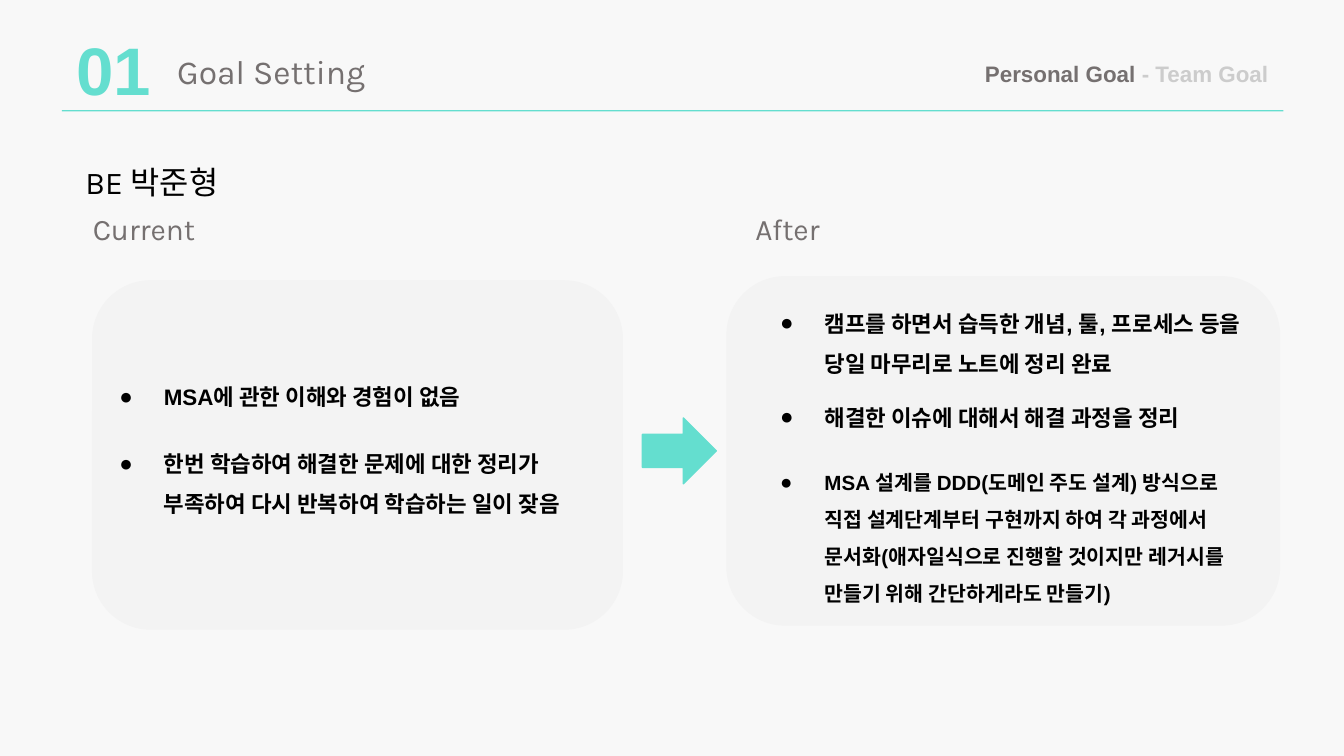
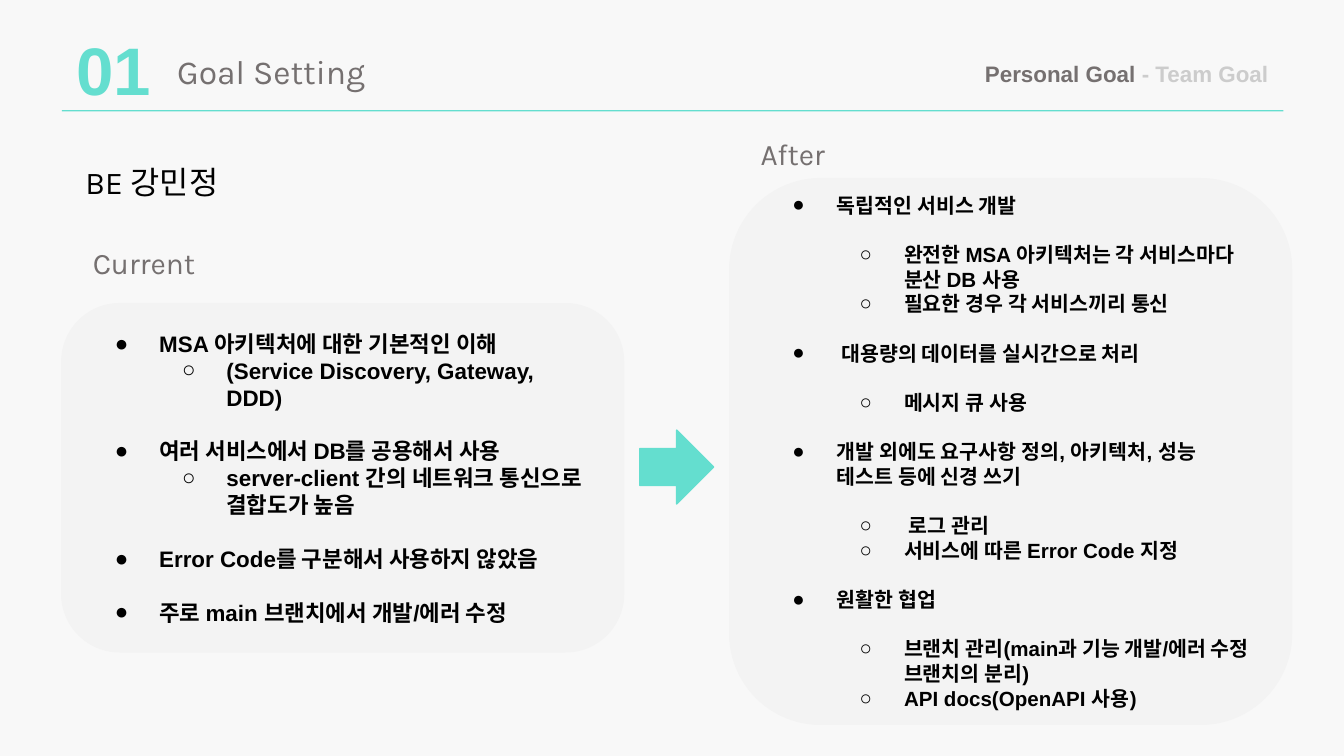
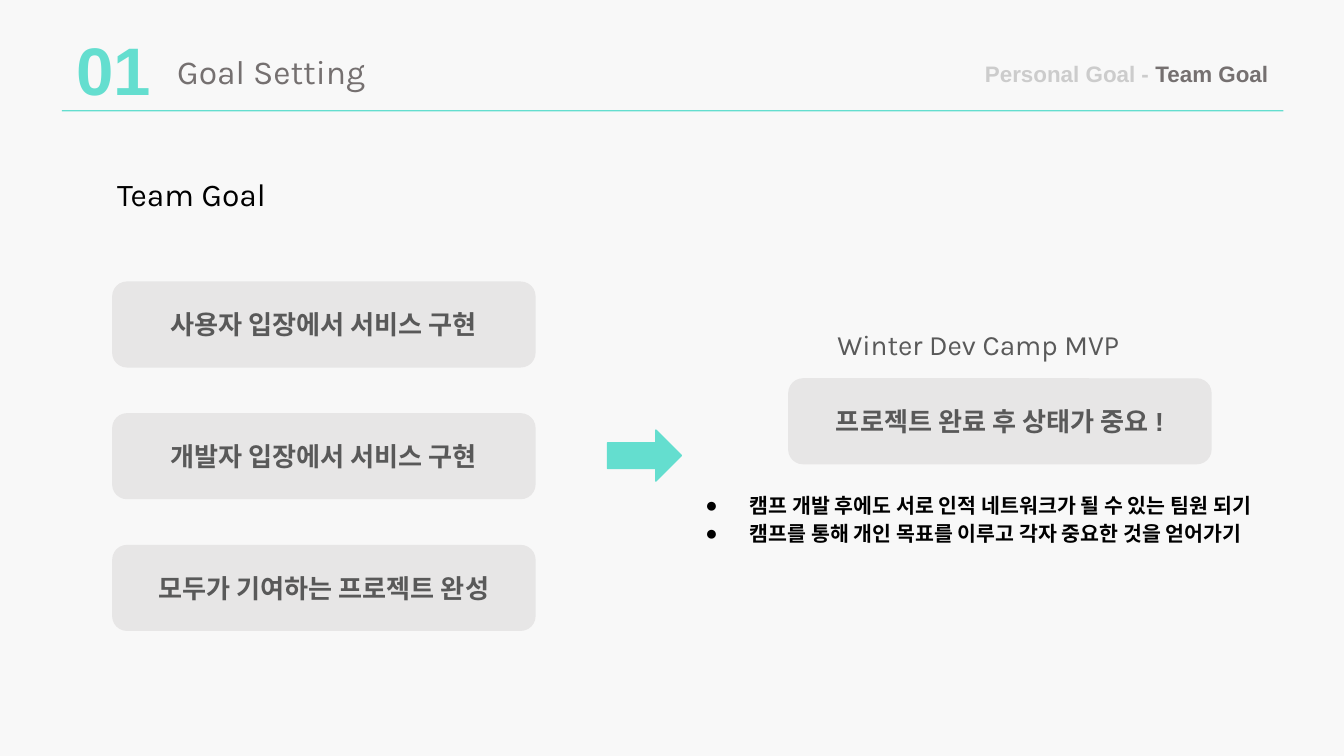
from dataclasses import dataclass

from lxml import etree
from pptx import Presentation, util as u
from pptx.dml import color
from pptx.enum import shapes, text
from pptx.oxml import ns

PX = 9144  # EMU per px, 100 px to the inch

BACKGROUND, ACCENT = "F8F8F8", "64DECF"
CARD, GOAL = "F3F3F3", "E7E6E6"
BLACK, DARK, GREY, PALE = "000000", "595959", "757070", "CCCCCC"
HEADING, BODY = "Karla", "Arial"
WIDE, TIGHT = (10, 10), (7, 4)  # horizontal and vertical insets


def rgb(value):
    return color.RGBColor.from_string(value)


@dataclass
class Item:
    """A bullet; gap is the free line above it, as a font size."""
    words: str
    level: int = 0
    gap: int = 0
    size: int = 12
    spacing: float = 1.0


class Deck:
    def __init__(self):
        self.prs = Presentation()
        self.prs.slide_width = 1000 * PX
        self.prs.slide_height = self.prs.slide_width * 9 // 16
        self.slide = None

    def new_slide(self, personal, team):
        self.slide = self.prs.slides.add_slide(self.prs.slide_layouts[6])
        fill = self.slide.background.fill
        fill.solid()
        fill.fore_color.rgb = rgb(BACKGROUND)
        # Header shared by all slides
        self.shape("RECTANGLE", (46, 82, 909, 1), ACCENT, outlined=False)
        self.label("01", (50, 17, 72, 68), 36, ACCENT, BODY, bold=True)
        self.label("Goal Setting", (122, 28, 328, 50), 18, GREY, inset=WIDE)
        frame = self.frame((723, 35, 265, 40))
        crumbs = frame.paragraphs[0]
        self.font(crumbs, 12, None, BODY, bold=True)
        for words, shade in (personal, team):
            crumb = crumbs.add_run()
            crumb.text = words
            crumb.font.color.rgb = rgb(shade)

    def font(self, paragraph, size, shade, face, bold=False):
        font = paragraph.font
        font.size, font.name, font.bold = u.Pt(size), face, bold
        if shade:
            font.color.rgb = rgb(shade)

    def prepare(self, frame, inset=WIDE):
        frame.word_wrap = True
        frame.margin_left = frame.margin_right = inset[0] * PX
        frame.margin_top = frame.margin_bottom = inset[1] * PX
        return frame

    def frame(self, box, inset=WIDE):
        textbox = self.slide.shapes.add_textbox(*(v * PX for v in box))
        frame = self.prepare(textbox.text_frame, inset)
        frame.auto_size = text.MSO_AUTO_SIZE.SHAPE_TO_FIT_TEXT
        return frame

    def label(self, words, box, size, shade, face=HEADING, bold=False,
              inset=TIGHT, centred=False, spacing=None):
        paragraph = self.frame(box, inset).paragraphs[0]
        paragraph.text = words
        if centred:
            paragraph.alignment = text.PP_ALIGN.CENTER
        if spacing:
            paragraph.line_spacing = spacing
        self.font(paragraph, size, shade, face, bold)

    def name(self, words, box):
        self.label(words, box, 17, BLACK, inset=WIDE, centred=True, spacing=1.15)

    def shape(self, kind, box, shade, outlined=True):
        shape = self.slide.shapes.add_shape(
            shapes.MSO_SHAPE[kind], *(v * PX for v in box))
        shape.shadow.inherit = False
        shape.fill.solid()
        shape.fill.fore_color.rgb = rgb(shade)
        if outlined:
            shape.line.color.rgb = rgb(shade)
            shape.line.width = u.Pt(0.75)
        else:
            shape.line.fill.background()
        return shape

    def arrow(self, box):
        self.shape("RIGHT_ARROW", box, ACCENT)

    def card(self, box, items=()):
        card = self.shape("ROUNDED_RECTANGLE", box, CARD)
        card.text_frame.vertical_anchor = text.MSO_ANCHOR.MIDDLE
        self.bullets(self.prepare(card.text_frame), items)

    def goal(self, words, left, top):
        goal = self.shape("ROUNDED_RECTANGLE", (left, top, 314, 63), GOAL)
        frame = self.prepare(goal.text_frame)
        frame.vertical_anchor = text.MSO_ANCHOR.MIDDLE
        paragraph = frame.paragraphs[0]
        paragraph.text = words
        paragraph.alignment = text.PP_ALIGN.CENTER
        self.font(paragraph, 14, DARK, BODY, bold=True)

    def bullets(self, frame, items):
        for i, item in enumerate(items):
            paragraph = frame.add_paragraph() if i else frame.paragraphs[0]
            paragraph.text = item.words
            paragraph.level = item.level
            paragraph.alignment = text.PP_ALIGN.LEFT
            props = paragraph._p.get_or_add_pPr()
            props.set("marL", str(50 * (item.level + 1) * PX))
            props.set("indent", str(-33 * PX))
            tint = etree.SubElement(props, ns.qn("a:buClr"))
            etree.SubElement(tint, ns.qn("a:srgbClr"), val=BLACK)
            etree.SubElement(props, ns.qn("a:buFont"), typeface=BODY)
            etree.SubElement(props, ns.qn("a:buChar"), char="●○"[item.level])
            paragraph.line_spacing = item.spacing
            paragraph.space_before = u.Pt(1.2 * item.gap)
            self.font(paragraph, item.size, BLACK, BODY, bold=True)


def small(words, level=0, gap=0):
    return Item(words, level, gap, size=11)


def main():
    deck = Deck()
    personal_on = ("Personal Goal ", GREY), ("- Team Goal", PALE)
    team_on = ("Personal Goal - ", PALE), ("Team Goal", GREY)
    name_box = (43, 107, 140, 49)

    # First personal goal
    deck.new_slide(*personal_on)
    deck.name("BE 박준형", name_box)
    deck.label("Current", (62, 153, 128, 35), 16, GREY)
    deck.label("After", (555, 153, 149, 35), 16, GREY)
    deck.card((541, 206, 411, 259), [
        Item("캠프를 하면서 습득한 개념, 툴, 프로세스 등을 당일 마무리로 노트에 정리 완료",
             spacing=1.5),
        Item("해결한 이슈에 대해서 해결 과정을 정리", gap=12),
        Item("MSA 설계를 DDD(도메인 주도 설계) 방식으로 직접 설계단계부터 구현까지 하여 "
             "각 과정에서 문서화(애자일식으로 진행할 것이지만 레거시를 만들기 위해 "
             "간단하게라도 만들기)", gap=12, size=11, spacing=1.5),
    ])
    deck.card((69, 209, 394, 259))
    deck.bullets(deck.frame((62, 275, 402, 121)), [
        Item("MSA에 관한 이해와 경험이 없음"),
        Item("한번 학습하여 해결한 문제에 대한 정리가 부족하여 다시 반복하여 "
             "학습하는 일이 잦음", gap=12, spacing=1.5),
    ])
    deck.arrow((478, 311, 55, 49))

    # Second personal goal
    deck.new_slide(*personal_on)
    deck.name("BE 강민정", name_box)
    deck.label("Current", (62, 178, 128, 35), 16, GREY)
    deck.label("After", (559, 97, 149, 35), 16, GREY)
    deck.arrow((476, 320, 55, 55))
    deck.card((543, 133, 418, 406), [
        small("독립적인 서비스 개발"),
        small("완전한 MSA 아키텍처는 각 서비스마다 분산 DB 사용", 1, 11),
        small("필요한 경우 각 서비스끼리 통신", 1),
        small(" 대용량의 데이터를 실시간으로 처리", 0, 11),
        small("메시지 큐 사용", 1, 11),
        small("개발 외에도 요구사항 정의, 아키텍처, 성능 테스트 등에 신경 쓰기", 0, 11),
        small(" 로그 관리", 1, 11),
        small("서비스에 따른 Error Code 지정", 1),
        small("원활한 협업", 0, 11),
        small("브랜치 관리(main과 기능 개발/에러 수정 브랜치의 분리)", 1, 11),
        small("API docs(OpenAPI 사용)", 1),
    ])
    deck.card((46, 226, 418, 259), [
        Item("MSA 아키텍처에 대한 기본적인 이해"),
        Item("(Service Discovery, Gateway, DDD)", 1),
        Item("여러 서비스에서 DB를 공용해서 사용", gap=12),
        Item("server-client 간의 네트워크 통신으로 결합도가 높음", 1),
        Item("Error Code를 구분해서 사용하지 않았음", gap=12),
        Item("주로 main 브랜치에서 개발/에러 수정", gap=12),
    ])

    # Team goal
    deck.new_slide(*team_on)
    deck.name("Team Goal", (43, 116, 199, 49))
    team_goals = ("사용자 입장에서 서비스 구현", "개발자 입장에서 서비스 구현",
                  "모두가 기여하는 프로젝트 완성")
    for row, words in enumerate(team_goals):
        deck.goal(words, 84, 210 + 98 * row)
    deck.arrow((452, 320, 55, 38))
    deck.label("Winter Dev Camp MVP", (592, 240, 272, 33), 15, DARK, centred=True)
    deck.goal("프로젝트 완료 후 상태가 중요 !", 587, 282)
    deck.bullets(deck.frame((498, 354, 489, 63)), [
        Item("캠프 개발 후에도 서로 인적 네트워크가 될 수 있는 팀원 되기",
             size=11, spacing=1.15),
        Item("캠프를 통해 개인 목표를 이루고 각자 중요한 것을 얻어가기",
             size=11, spacing=1.15),
    ])

    deck.prs.save("out.pptx")


if __name__ == "__main__":
    main()
